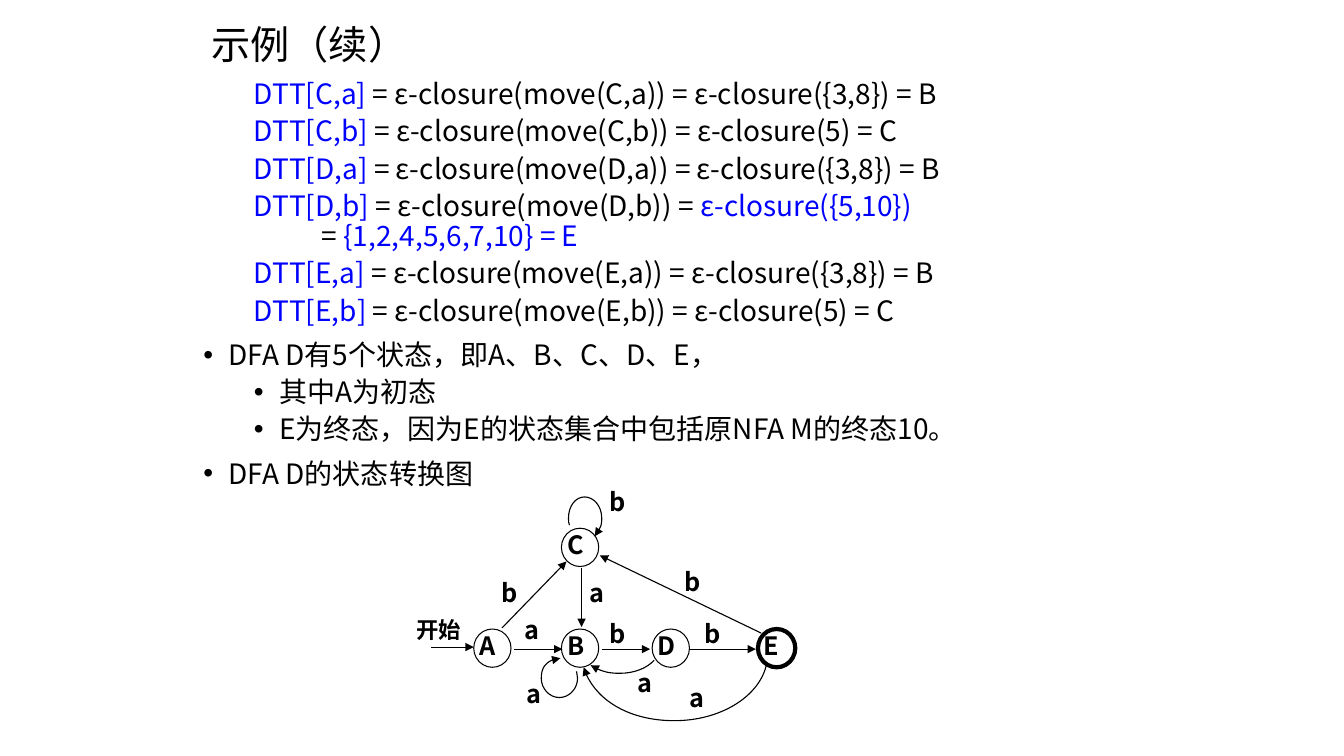
from dataclasses import dataclass

from lxml.etree import SubElement
from pptx import Presentation
from pptx.dml.color import RGBColor
from pptx.enum.shapes import MSO_CONNECTOR, MSO_SHAPE
from pptx.enum.text import MSO_ANCHOR, PP_ALIGN
from pptx.oxml.ns import qn
from pptx.util import Emu, Inches, Pt

BLACK = RGBColor(0x00, 0x00, 0x00)
BLUE = RGBColor(0x00, 0x00, 0xFF)
FONT = "Noto Sans CJK SC"

# Grid of 40 columns by 22.5 rows with square cells
deck = Presentation()
deck.slide_width, deck.slide_height = Inches(40 / 3), Inches(7.5)
page = deck.slides.add_slide(deck.slide_layouts[6])
CELL = deck.slide_width / 40


def grid(cells: float) -> Emu:
    return Emu(round(cells * CELL))


@dataclass
class Line:
    spans: list[tuple[str, RGBColor]]
    left: float
    hanging: float = 0.75
    before: float = 5
    bullet: bool = False


@dataclass
class State:
    name: str
    column: float
    row: float = 18.72
    weight: float = 0.75


@dataclass
class Label:
    text: str
    column: float
    row: float
    width: float = 0.45
    size: float = 18


@dataclass
class Arrow:
    start: tuple[float, float]
    end: tuple[float, float]
    weight: float = 0.8


@dataclass
class Curve:
    start: tuple[float, float]
    controls: list[tuple[float, float]]


def set_font(para, size: float, bold: bool = False) -> None:
    font = para.font
    font.size, font.bold, font.name = Pt(size), bold, FONT
    font.color.rgb = BLACK
    defaults = para._p.pPr.find(qn("a:defRPr"))
    SubElement(defaults, qn("a:ea")).set("typeface", FONT)


def add_box(column: float, row: float, width: float, height: float, wrap: bool = True):
    box = page.shapes.add_textbox(grid(column), grid(row), grid(width), grid(height))
    box.text_frame.word_wrap = wrap
    return box.text_frame


def add_word(frame, text: str, size: float = 18) -> None:
    para = frame.paragraphs[0]
    para.text = text
    para.alignment = PP_ALIGN.JUSTIFY
    set_font(para, size, bold=True)


def add_line(para, line: Line) -> None:
    properties = para._p.get_or_add_pPr()
    properties.set("marL", str(grid(line.left)))
    properties.set("indent", str(-grid(line.hanging)))
    para.line_spacing = 0.9
    para.space_before = Pt(line.before)
    if line.bullet:
        SubElement(properties, qn("a:buFont")).set("typeface", "Arial")
        SubElement(properties, qn("a:buChar")).set("char", "•")
    else:
        SubElement(properties, qn("a:buNone"))
    set_font(para, 20)
    for text, colour in line.spans:
        span = para.add_run()
        span.text = text
        if colour != BLACK:
            span.font.color.rgb = colour


def add_state(state: State) -> None:
    circle = page.shapes.add_shape(MSO_SHAPE.OVAL, grid(state.column), grid(state.row), grid(1.11), grid(1.14))
    circle.shadow.inherit = False
    circle.fill.background()
    circle.line.color.rgb = BLACK
    circle.line.width = Pt(state.weight)
    add_word(add_box(state.column - 0.13, state.row - 0.12, 1.44, 1.53), state.name)


def add_label(label: Label) -> None:
    frame = add_box(label.column, label.row, label.width, 0.9, wrap=False)
    frame.margin_left = frame.margin_right = frame.margin_top = frame.margin_bottom = 0
    add_word(frame, label.text, label.size)


def style_arrow(line, weight: float) -> None:
    line.color.rgb = BLACK
    line.width = Pt(weight)
    SubElement(line._get_or_add_ln(), qn("a:tailEnd")).set("type", "triangle")


def add_arrow(arrow: Arrow) -> None:
    ends = [grid(value) for value in (*arrow.start, *arrow.end)]
    connector = page.shapes.add_connector(MSO_CONNECTOR.STRAIGHT, *ends)
    style_arrow(connector.line, arrow.weight)
    SubElement(connector._element.spPr, qn("a:effectLst"))


def add_curve(curve: Curve) -> None:
    builder = page.shapes.build_freeform(*(grid(value) for value in curve.start))
    builder.add_line_segments([(grid(x), grid(y)) for x, y in curve.controls], close=False)
    shape = builder.convert_to_shape()
    # Each three straight steps become one cubic curve
    steps = list(shape._element.iter(qn("a:lnTo")))
    outline = steps[0].getparent()
    for first in range(0, len(steps), 3):
        cubic = SubElement(outline, qn("a:cubicBezTo"))
        for step in steps[first:first + 3]:
            cubic.append(step[0])
            outline.remove(step)
    shape.shadow.inherit = False
    shape.fill.background()
    style_arrow(shape.line, 0.8)


def rule(entry: str, result: str) -> Line:
    spans = [(f"DTT[{entry}]", BLUE), (f" = ε-closure(move({entry})) = {result}", BLACK)]
    return Line(spans, left=2.25)


def point(text: str, sub: bool = False) -> Line:
    return Line([(text, BLACK)], left=2.25 if sub else 0.75, before=5 if sub else 10, bullet=True)


# Title
title = add_box(6, 0.51, 28.26, 1.74)
title.vertical_anchor = MSO_ANCHOR.MIDDLE
title.paragraphs[0].text = "示例（续）"
title.paragraphs[0].line_spacing = 0.9
set_font(title.paragraphs[0], 28)

# Transition rules and conclusions
TO_B, TO_C = "ε-closure({3,8}) = B", "ε-closure(5) = C"
to_e = rule("D,b", "")
to_e.spans.append(("ε-closure({5,10})", BLUE))
lines = [
    rule("C,a", TO_B), rule("C,b", TO_C), rule("D,a", TO_B), to_e,
    Line([("= ", BLACK), ("{1,2,4,5,6,7,10} = E", BLUE)], left=3.52, hanging=0, before=0),
    rule("E,a", TO_B), rule("E,b", TO_C),
    point("DFA D有5个状态，即A、B、C、D、E，"),
    point("其中A为初态", sub=True),
    point("E为终态，因为E的状态集合中包括原NFA M的终态10。", sub=True),
    point("DFA D的状态转换图"),
]
lines[0].before = 0
body = add_box(5.76, 2.25, 28.5, 13.83)
for index, line in enumerate(lines):
    add_line(body.add_paragraph() if index else body.paragraphs[0], line)

# State diagram
for curve in [
    Curve((19.47, 19.65), [(19.26, 19.89), (18.87, 20.04), (18.45, 20.04),
                           (18.12, 20.04), (17.79, 19.95), (17.58, 19.8)]),
    Curve((22.8, 19.83), [(22.56, 20.76), (21.42, 21.45), (20.07, 21.45),
                          (18.78, 21.45), (17.64, 20.79), (17.37, 19.86)]),
    Curve((16.95, 15.63), [(16.92, 15.57), (16.92, 15.51), (16.92, 15.42),
                           (16.92, 15.06), (17.13, 14.79), (17.4, 14.79),
                           (17.67, 14.79), (17.91, 15.06), (17.91, 15.42),
                           (17.91, 15.63), (17.82, 15.84), (17.7, 15.96)]),
    Curve((17.16, 19.98), [(17.16, 20.04), (17.19, 20.1), (17.19, 20.19),
                           (17.19, 20.49), (16.95, 20.76), (16.65, 20.76),
                           (16.35, 20.76), (16.11, 20.49), (16.11, 20.19),
                           (16.11, 19.86), (16.35, 19.59), (16.68, 19.59)]),
]:
    add_curve(curve)
for arrow in [
    Arrow((12.84, 19.26), (14.1, 19.26)), Arrow((14.94, 18.69), (16.86, 16.71)),
    Arrow((22.65, 18.84), (17.85, 16.53)), Arrow((17.31, 16.92), (17.31, 18.66)),
    Arrow((15.3, 19.32), (16.74, 19.32), 0.75), Arrow((17.91, 19.32), (19.35, 19.32), 0.75),
    Arrow((20.52, 19.32), (22.5, 19.32), 0.75),
]:
    add_arrow(arrow)
for state in [State("A", 14.1), State("B", 16.71), State("D", 19.41),
              State("E", 22.56, weight=3), State("C", 16.71, 15.72)]:
    add_state(state)
for label in [
    Label("开始", 12.39, 18.33, 1.35, 16),
    Label("b", 18.15, 18.39), Label("b", 20.97, 18.39), Label("b", 14.94, 17.19),
    Label("b", 20.37, 16.86), Label("b", 18.15, 14.46),
    Label("a", 17.55, 17.19), Label("a", 15.6, 18.27), Label("a", 15.66, 20.19),
    Label("a", 18.96, 19.86), Label("a", 20.52, 20.31),
]:
    add_label(label)

deck.save("out.pptx")
